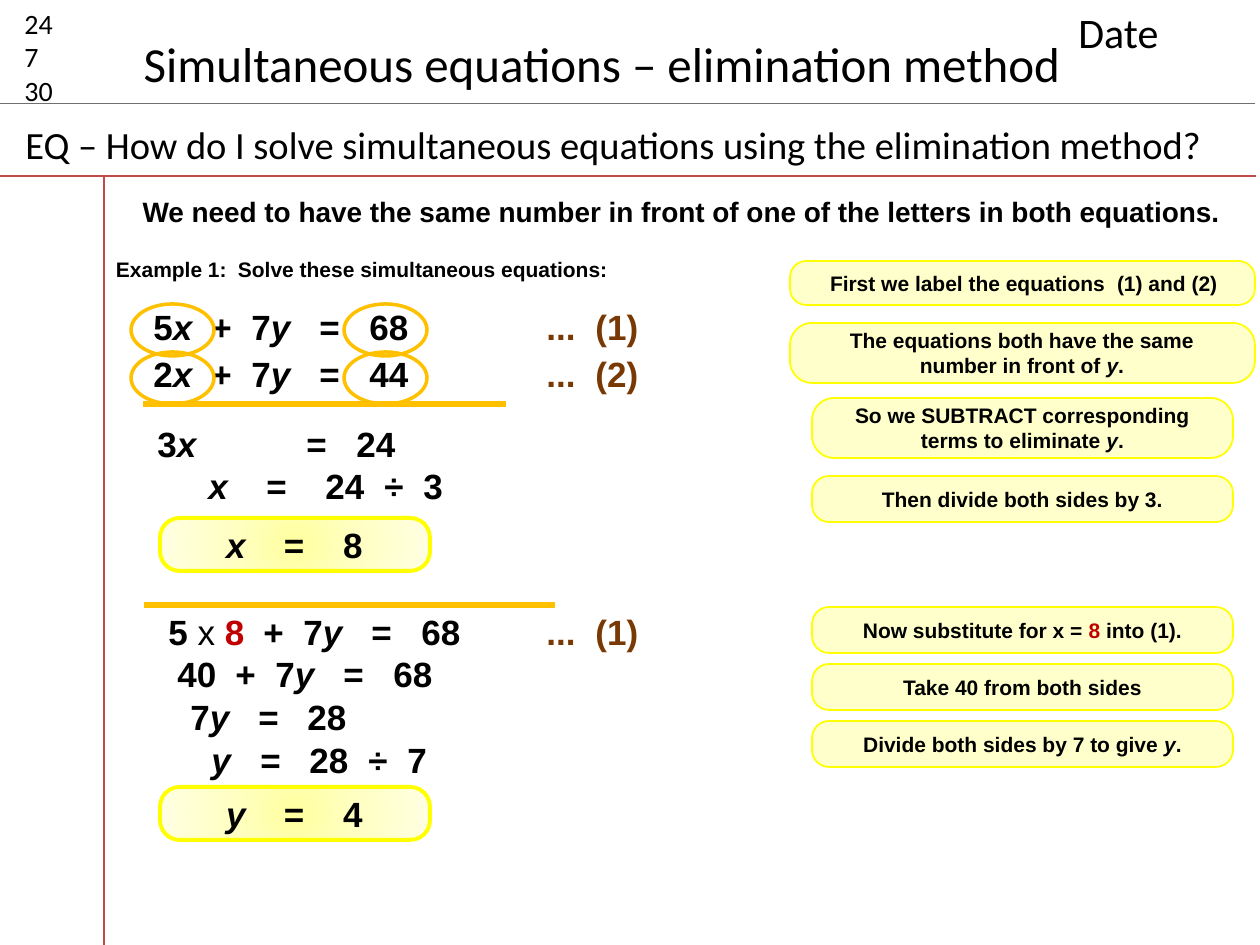
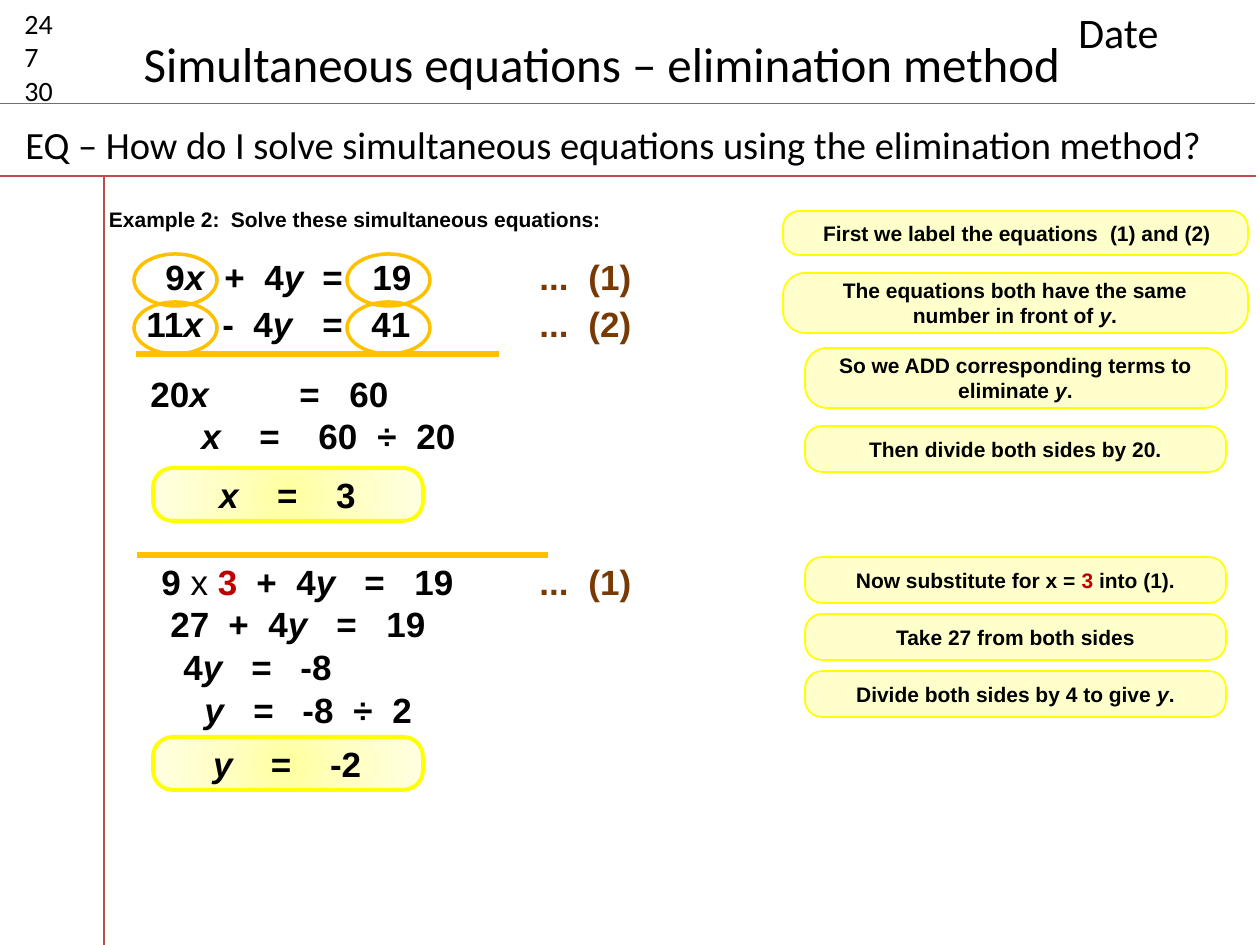
from dataclasses import dataclass
from itertools import groupby, product
from typing import Optional

import pptx
import pptx.dml.color
import pptx.enum.shapes
import pptx.enum.text
import pptx.oxml
import pptx.oxml.ns
import pptx.util
from lxml import etree

RGBColor = pptx.dml.color.RGBColor
BLACK = RGBColor(0x00, 0x00, 0x00)
GREY = RGBColor(0x70, 0x70, 0x70)
RULE_RED = RGBColor(0xBF, 0x4C, 0x48)
VALUE_RED = RGBColor(0xC0, 0x00, 0x00)
BROWN = RGBColor(0x79, 0x39, 0x05)
ORANGE = RGBColor(0xFF, 0xC0, 0x00)
YELLOW = RGBColor(0xFF, 0xFF, 0x00)
CREAM = RGBColor(0xFF, 0xFF, 0xCC)
GLOW = ((0, "FFFFA0"), (50, "FFFFC5"), (100, "FFFFE3"))

EMU_PER_PX = 914400 / 126
ROUNDING = 0.37
ITALIC, RED, PLAIN = "_", "^", "~"
MARKS = ITALIC + RED + PLAIN

TITLE = "Simultaneous equations – elimination method"
QUESTION = "EQ – How do I solve simultaneous equations using the elimination method?"


@dataclass(frozen=True)
class Area:
    x: int
    y: int
    width: int
    height: int

    def moved(self, dx: int, dy: int) -> "Area":
        return Area(self.x + dx, self.y + dy, self.width, self.height)

    def inner(self, width: int, height: int) -> "Area":
        left = self.x + (self.width - width) // 2
        top = self.y + (self.height - height) // 2
        return Area(left, top, width, height)

    def lengths(self) -> list:
        return [px(n) for n in (self.x, self.y, self.width, self.height)]


@dataclass(frozen=True)
class Line:
    text: str
    stops: tuple = ()


@dataclass(frozen=True)
class Answer:
    text: str
    margin: int


@dataclass(frozen=True)
class Example:
    heading: str
    working: tuple
    answers: tuple
    notes: tuple
    dx: int = 0
    dy: int = 0
    ring_dx: int = 0
    banner: str = ""


BANNER_AREA = Area(87, 188, 1189, 47)
HEADING_AREA = Area(88, 250, 549, 38)
WORKING_AREAS = (
    Area(141, 299, 422, 55),
    Area(141, 346, 422, 55),
    Area(145, 416, 127, 55),
    Area(294, 416, 188, 55),
    Area(196, 458, 372, 55),
    Area(156, 604, 422, 55),
    Area(165, 646, 422, 55),
    Area(178, 689, 422, 55),
    Area(199, 732, 422, 55),
)
LABELS = (
    ("...\t(1)", Area(534, 299, 188, 55)),
    ("...\t(2)", Area(534, 346, 188, 55)),
    ("...\t(1)", Area(534, 604, 159, 55)),
)
NOTE_AREAS = (
    Area(790, 261, 465, 44),
    Area(790, 323, 465, 60),
    Area(812, 398, 421, 60),
    Area(812, 476, 421, 46),
    *(Area(812, 607 + 57 * row, 421, 46) for row in range(3)),
)
NOTE_TEXT_SIZES = ((433, 38), (428, 63), (391, 63), *((355, 38),) * 4)
ANSWER_AREAS = tuple(Area(160, y, 270, 53) for y in (518, 787))
ANSWER_TEXT_SIZE = (198, 55)
RING_AREAS = tuple(Area(x, y, 83, 52) for x, y in product((131, 344), (304, 352)))
ORANGE_RULES = ((143, 404, 506), (144, 605, 555))

SUM_STOPS = (58, 98, 166, 216)
QUOTIENT_STOPS = (58, 117, 176, 215)
SUBSTITUTE_STOPS = (95, 135, 203, 253)
PAIR_STOPS = (68, 117)
ANSWER_STOPS = (58, 117)
NOTE_STOPS = (287,)

LABEL_NOTE = "First we label the equations\t(1) and (2)"
SAME_NOTE = "The equations both have the same number in front of _y_."

EXAMPLES = (
    Example(
        heading="Example 1:\tSolve these simultaneous equations:",
        banner="We need to have the same number in front of one of the letters in both equations.",
        working=(
            Line("5_x_\t+\t7_y_\t=\t68", SUM_STOPS),
            Line("2_x_\t+\t7_y_\t=\t44", SUM_STOPS),
            Line("3_x_"),
            Line("=\t24", (50,)),
            Line("_x_\t=\t24\t÷\t3", QUOTIENT_STOPS),
            Line("5 ~x ~^8^\t+\t7_y_\t=\t68", SUBSTITUTE_STOPS),
            Line("40\t+\t7_y_\t=\t68", SUM_STOPS),
            Line("7_y_\t=\t28", PAIR_STOPS),
            Line("_y_\t=\t28\t÷\t7", (49, 98, 157, 196)),
        ),
        answers=(Answer("_x_\t=\t8", 30), Answer("_y_\t=\t4", 30)),
        notes=(
            LABEL_NOTE,
            SAME_NOTE,
            "So we SUBTRACT corresponding terms to eliminate _y_.",
            "Then divide both sides by 3.",
            "Now substitute for x = ^8^ into (1).",
            "Take 40 from both sides",
            "Divide both sides by 7 to give _y_.",
        ),
    ),
    Example(
        heading="Example 2:\tSolve these simultaneous equations:",
        working=(
            Line("\t9_x_\t+\t4_y_\t=\t19", (19, 78, 118, 176, 226)),
            Line("11_x_\t-\t4_y_\t=\t41", (76, 107, 176, 225)),
            Line("20_x_"),
            Line("=\t60", (50,)),
            Line("_x_\t=\t60\t÷\t20", QUOTIENT_STOPS),
            Line("9 ~x ~^3^\t+\t4_y_\t=\t19", SUBSTITUTE_STOPS),
            Line("27\t+\t4_y_\t=\t19", SUM_STOPS),
            Line("4_y_\t=\t-8", PAIR_STOPS),
            Line("_y_\t=\t-8\t÷\t2", (49, 98, 149, 188)),
        ),
        answers=(Answer("_x_\t=\t3", 30), Answer("_y_\t=\t-2", 24)),
        notes=(
            LABEL_NOTE,
            SAME_NOTE,
            "So we ADD corresponding terms to eliminate _y_.",
            "Then divide both sides by 20.",
            "Now substitute for x = ^3^ into (1).",
            "Take 27 from both sides",
            "Divide both sides by 4 to give _y_.",
        ),
        dx=-7,
        dy=-50,
        ring_dx=10,
    ),
)


def px(length: int) -> pptx.util.Emu:
    return pptx.util.Emu(round(length * EMU_PER_PX))


def write_text(frame, text: str, *, size: int, font: str = "Arial", color=BLACK,
               bold: bool = True, centered: bool = False, stops: tuple = (),
               margin: Optional[int] = None) -> None:
    align = pptx.enum.text.PP_ALIGN
    frame.word_wrap = True
    if margin is not None:
        frame.margin_left = px(margin)
    for index, content in enumerate(text.split("\n")):
        para = frame.add_paragraph() if index else frame.paragraphs[0]
        para.alignment = align.CENTER if centered else align.LEFT
        if stops:
            properties = para._p.get_or_add_pPr()
            tabs = etree.SubElement(properties, pptx.oxml.ns.qn("a:tabLst"))
            for stop in stops:
                etree.SubElement(tabs, pptx.oxml.ns.qn("a:tab"), pos=str(px(stop)), algn="l")
        mark, letters = "", []
        for letter in content:
            if letter in MARKS:
                mark = "" if mark else letter
            else:
                letters.append((mark, letter))
        for style, group in groupby(letters, key=lambda pair: pair[0]):
            span = para.add_run()
            span.text = "".join(letter for _, letter in group)
            span.font.size = pptx.util.Pt(size)
            span.font.name = font
            span.font.bold = bold and style != PLAIN
            span.font.italic = style == ITALIC
            span.font.color.rgb = VALUE_RED if style == RED else color


def add_text(page, area: Area, text: str, **style) -> None:
    frame = page.shapes.add_textbox(*area.lengths()).text_frame
    frame.auto_size = pptx.enum.text.MSO_AUTO_SIZE.SHAPE_TO_FIT_TEXT
    write_text(frame, text, **style)


def add_rule(page, start: tuple, end: tuple, color: RGBColor, width: float) -> None:
    rule = page.shapes.add_connector(
        pptx.enum.shapes.MSO_CONNECTOR.STRAIGHT, *(px(n) for n in start + end))
    rule.line.color.rgb = color
    rule.line.width = pptx.util.Pt(width)
    etree.SubElement(rule._element.spPr, pptx.oxml.ns.qn("a:effectLst"))


def add_outline(page, kind, area: Area, color: RGBColor, width: float):
    box = page.shapes.add_shape(kind, *area.lengths())
    box.shadow.inherit = False
    box.fill.background()
    box.line.color.rgb = color
    box.line.width = pptx.util.Pt(width)
    return box


def add_panel(page, area: Area, line_width: float):
    box = add_outline(page, pptx.enum.shapes.MSO_SHAPE.ROUNDED_RECTANGLE, area, YELLOW, line_width)
    box.adjustments[0] = ROUNDING
    return box


def add_note(page, area: Area, text_size: tuple, text: str) -> None:
    box = add_panel(page, area, 1)
    box.fill.solid()
    box.fill.fore_color.rgb = CREAM
    style = {"stops": NOTE_STOPS, "margin": 24} if "\t" in text else {"centered": True}
    add_text(page, area.inner(*text_size), text, size=12, **style)


def add_answer(page, area: Area, answer: Answer) -> None:
    box = add_panel(page, area, 2.25)
    stops = "".join(
        f'<a:gs pos="{percent * 1000}"><a:srgbClr val="{color}"/></a:gs>' for percent, color in GLOW)
    gradient = pptx.oxml.parse_xml(
        f'<a:gradFill {pptx.oxml.ns.nsdecls("a")} rotWithShape="1"><a:gsLst>{stops}</a:gsLst>'
        '<a:path path="circle"><a:fillToRect l="50000" t="50000" r="50000" b="50000"/></a:path>'
        '</a:gradFill>')
    properties = box._element.spPr
    properties.replace(properties.find(pptx.oxml.ns.qn("a:noFill")), gradient)
    add_text(page, area.inner(*ANSWER_TEXT_SIZE), answer.text, size=20, stops=ANSWER_STOPS,
             margin=answer.margin)


def add_frame(page) -> None:
    add_rule(page, (-5, 103), (1255, 103), GREY, 0.5)
    for start, end in (((-4, 176), (1256, 176)), ((104, 176), (104, 969))):
        add_rule(page, start, end, RULE_RED, 0.75)
    for area, text, size in (
        (Area(12, 0, 79, 115), "24\n7\n30", 16),
        (Area(1066, 0, 218, 63), "Date", 24),
        (Area(13, 115, 1244, 59), QUESTION, 22),
    ):
        add_text(page, area, text, size=size, font="Calibri", bold=False)
    title = page.shapes.title
    title.left, title.top, title.width, title.height = Area(131, 27, 953, 72).lengths()
    title.text_frame.auto_size = pptx.enum.text.MSO_AUTO_SIZE.NONE
    title.text_frame.vertical_anchor = pptx.enum.text.MSO_ANCHOR.TOP
    write_text(title.text_frame, TITLE, size=28, font="Calibri", bold=False)


def add_example(page, example: Example) -> None:
    dx, dy = example.dx, example.dy
    if example.banner:
        add_text(page, BANNER_AREA, example.banner, size=16, centered=True)
    add_text(page, HEADING_AREA.moved(dx, dy), example.heading, size=12, stops=(122,), margin=28)
    for area, line in zip(WORKING_AREAS, example.working):
        add_text(page, area.moved(dx, dy), line.text, size=20, stops=line.stops)
    for label, area in LABELS:
        add_text(page, area.moved(dx, dy), label, size=20, color=BROWN, stops=(49,))
    for left, y, right in ORANGE_RULES:
        add_rule(page, (left + dx, y + dy), (right + dx, y + dy), ORANGE, 3)
    for area, text_size, note in zip(NOTE_AREAS, NOTE_TEXT_SIZES, example.notes):
        add_note(page, area.moved(dx, dy), text_size, note)
    for area, answer in zip(ANSWER_AREAS, example.answers):
        add_answer(page, area.moved(dx, dy), answer)
    for area in RING_AREAS:
        ring_area = area.moved(dx + example.ring_dx, dy)
        add_outline(page, pptx.enum.shapes.MSO_SHAPE.OVAL, ring_area, ORANGE, 2)


def main() -> None:
    deck = pptx.Presentation()
    deck.slide_width, deck.slide_height = px(1260), px(945)
    title_only = deck.slide_layouts[5]
    for example in EXAMPLES:
        page = deck.slides.add_slide(title_only)
        add_frame(page)
        add_example(page, example)
    deck.save("out.pptx")


if __name__ == "__main__":
    main()
